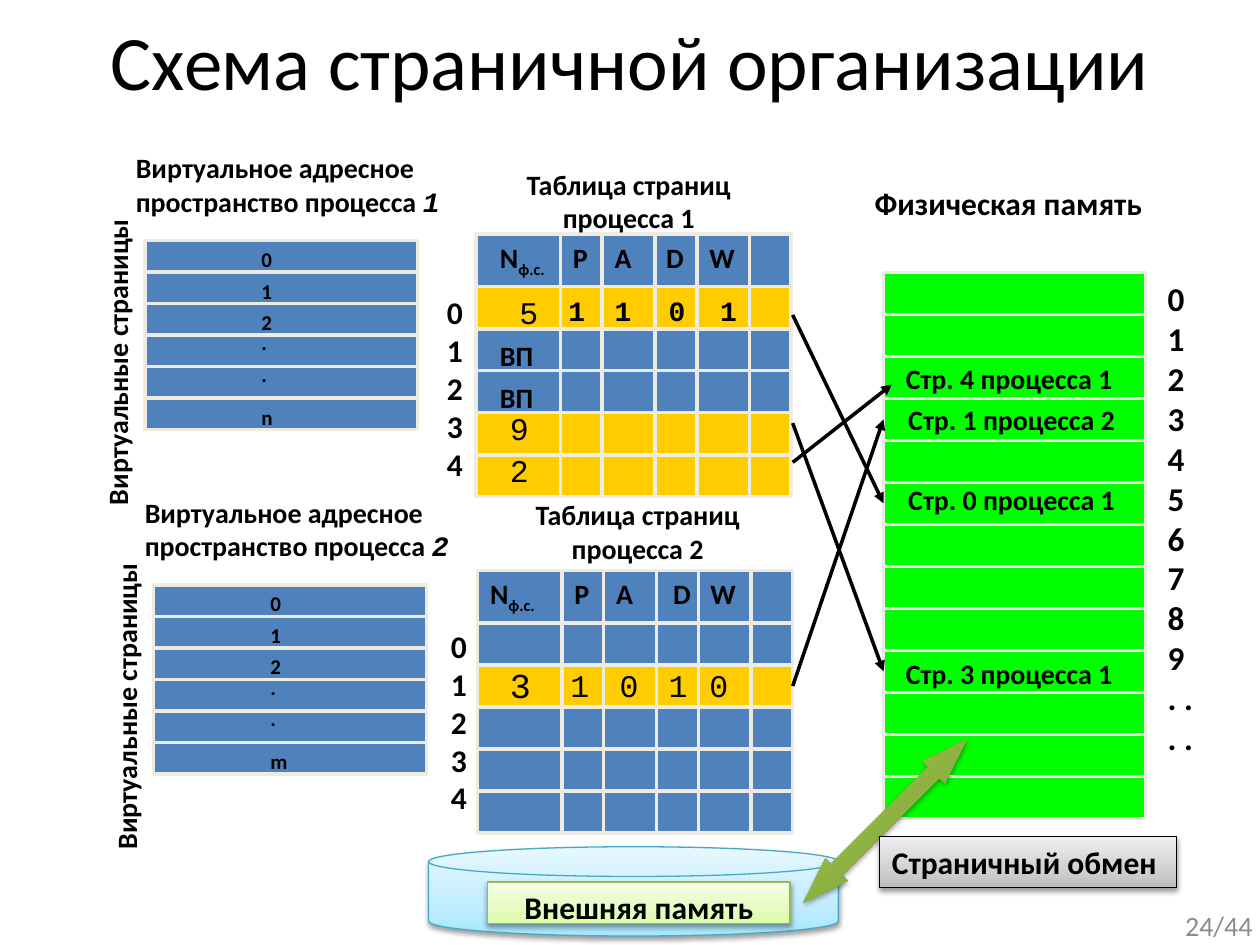
from copy import deepcopy

from lxml import etree
from pptx import Presentation
from pptx.dml.color import RGBColor
from pptx.enum import shapes, text
from pptx.oxml import ns
from pptx.util import Cm, Pt

BLACK = RGBColor(0x00, 0x00, 0x00)
GRAY = RGBColor(0x8C, 0x8C, 0x8C)
BLUE = RGBColor(0x4F, 0x81, 0xBD)
YELLOW = RGBColor(0xFF, 0xCC, 0x00)
GREEN = RGBColor(0x00, 0xFF, 0x00)
CREAM = RGBColor(0xEE, 0xEC, 0xE1)
CYAN_EDGE = RGBColor(0x46, 0xAA, 0xC5)
LIME_EDGE = RGBColor(0x98, 0xB9, 0x55)
CYAN_STOPS = [(0, RGBColor(0xA7, 0xE6, 0xFF)), (0.35, RGBColor(0xC1, 0xED, 0xFF)),
              (1, RGBColor(0xE7, 0xF8, 0xFF))]
LIME_STOPS = [(0, RGBColor(0xDA, 0xFD, 0xA7)), (0.35, RGBColor(0xE4, 0xFC, 0xC2)),
              (1, RGBColor(0xF5, 0xFF, 0xE7))]
GRAY_STOPS = [(0, RGBColor(0xBD, 0xBD, 0xBD)), (0.35, RGBColor(0xD1, 0xD1, 0xD1)),
              (1, RGBColor(0xEE, 0xEE, 0xEE))]
OLIVE_STOPS = [(0, RGBColor(0x77, 0x97, 0x37)), (0.8, RGBColor(0x9B, 0xC3, 0x48)),
               (1, RGBColor(0x9D, 0xC7, 0x46))]

SANS, MONO = "Calibri", "Courier New"
SHAPE = shapes.MSO_SHAPE
CENTER, RIGHT = text.PP_ALIGN.CENTER, text.PP_ALIGN.RIGHT
ROW = 2.54 / 3
PAGE_ROW = 0.635
TABLE_WIDTH, HEADER = 6.35, 1.06
COLUMN_OFFSETS = (1.7, 2.54, 3.6, 4.45, 5.51)


def write(frame, *parts, align=None, anchor=text.MSO_ANCHOR.TOP, wrap=True, **style):
    """Fill a frame with runs; a part is a string or (string, style overrides)."""
    frame.word_wrap = wrap
    frame.vertical_anchor = anchor
    paragraph = frame.paragraphs[0]
    paragraph.alignment = align or text.PP_ALIGN.LEFT
    for part in parts:
        words, changes = (part, {}) if isinstance(part, str) else part
        look = {"size": 16, "font": SANS, "color": BLACK, "bold": True, **style, **changes}
        run = paragraph.add_run()
        run.text = words
        run.font.size, run.font.name = Pt(look["size"]), look["font"]
        run.font.bold, run.font.italic = look["bold"], look.get("italic", False)
        run.font.color.rgb = look["color"]
        if "baseline" in look:
            run.font._element.set("baseline", str(look["baseline"]))


class Board:
    """The current slide and the way its elements look."""

    def __init__(self, slide):
        self.items = slide.shapes

    def label(self, x, y, w, *parts, h=0.94, rotation=0, **style):
        box = self.items.add_textbox(Cm(x), Cm(y), Cm(w), Cm(h))
        box.rotation = rotation
        write(box.text_frame, *parts, **style)

    def cell(self, x, y, w, h, color):
        rect = self.items.add_shape(SHAPE.RECTANGLE, Cm(x), Cm(y), Cm(w), Cm(h))
        rect.shadow.inherit = False
        rect.fill.solid()
        rect.fill.fore_color.rgb = color
        rect.line.color.rgb, rect.line.width = CREAM, Pt(2)
        return rect

    def glossy(self, kind, x, y, w, h, stops, edge=None):
        """A shape with a three-stop upward gradient and a soft shadow."""
        shape = self.items.add_shape(kind, Cm(x), Cm(y), Cm(w), Cm(h))
        shape.fill.gradient()
        shape.fill.gradient_angle = 90
        properties = shape._element.spPr
        gradient = properties.find(".//" + ns.qn("a:gsLst"))
        gradient.append(deepcopy(gradient[-1]))
        for stop, (position, color) in zip(shape.fill.gradient_stops, stops):
            stop.position, stop.color.rgb = position, color
        if edge is None:
            shape.line.fill.background()
        else:
            shape.line.color.rgb, shape.line.width = edge, Pt(0.75)
        shape.shadow.inherit = False
        shadow = etree.SubElement(properties.find(ns.qn("a:effectLst")), ns.qn("a:outerShdw"),
                                  blurRad=str(Pt(3.1)), dist=str(Pt(1.6)), dir="5400000",
                                  rotWithShape="0")
        tint = etree.SubElement(shadow, ns.qn("a:srgbClr"), val="000000")
        etree.SubElement(tint, ns.qn("a:alpha"), val="38000")
        return shape

    def line(self, x1, y1, x2, y2, color=CREAM, start=None, end=None, arrow=False):
        """A straight line; start and end are rectangles to join by a side."""
        link = self.items.add_connector(shapes.MSO_CONNECTOR.STRAIGHT,
                                        Cm(x1), Cm(y1), Cm(x2), Cm(y2))
        link.line.color.rgb, link.line.width = color, Pt(2)
        if arrow:
            etree.SubElement(link.line._get_or_add_ln(), ns.qn("a:tailEnd"), type="triangle")
        etree.SubElement(link._element.spPr, ns.qn("a:effectLst"))
        if start is not None:
            link.begin_connect(start, 3)
        if end is not None:
            link.end_connect(end, 1)

    def page_table(self, x, y, yellow_rows, letter_xs):
        """Draw the grid with its header letters and return the row rectangles."""
        self.cell(x, y, TABLE_WIDTH, HEADER, BLUE)
        rows = [self.cell(x, y + HEADER + i * ROW, TABLE_WIDTH, ROW,
                          YELLOW if i in yellow_rows else BLUE) for i in range(5)]
        for offset in COLUMN_OFFSETS:
            self.line(x + offset, y, x + offset, y + HEADER + 5 * ROW)
        frame_x, *flag_xs = letter_xs
        self.label(frame_x, y, 1.65, "N", ("ф.с.", {"baseline": -25000}), wrap=False)
        for flag, flag_x in zip("PADW", flag_xs):
            self.label(flag_x, y, 1, flag)
        return rows

    def virtual_space(self, x, y, process, last_page):
        for i in range(6):
            self.cell(x, y + i * PAGE_ROW, 5.5, PAGE_ROW, BLUE)
        for i, page in enumerate(["0", "1", "2", ".", ".", last_page]):
            lift = 0.23 if page == "." else 0
            self.label(x + 2.1, y + i * PAGE_ROW - lift, 0.84, page, h=0.76, size=12)
        self.label(x - 0.43, y - 1.93, 6.99, "Виртуальное адресное пространство процесса ",
                   (process, {"font": MONO, "italic": True}), h=1.63)
        self.label(x - 3.96, y + 1.98, 6.81, "Виртуальные страницы", rotation=270, align=CENTER)


def main():
    deck = Presentation()
    deck.slide_width, deck.slide_height = Cm(25.4), Cm(19.05)
    board = Board(deck.slides.add_slide(deck.slide_layouts[6]))
    board.label(0.71, 0.15, 24, "Схема страничной организации", h=3.18,
                size=44, bold=False, align=CENTER)

    board.glossy(SHAPE.FLOWCHART_MAGNETIC_DISK, 8.64, 17.07, 8.26, 1.8, CYAN_STOPS, CYAN_EDGE)
    storage = board.glossy(SHAPE.RECTANGLE, 9.83, 17.78, 6.1, 0.84, LIME_STOPS, LIME_EDGE)
    write(storage.text_frame, "Внешняя память", size=18, align=CENTER)

    board.label(17.37, 3.58, 5.92, "Физическая память", h=1.78, size=18, align=CENTER)
    frames = [board.cell(17.81, 5.49 + i * ROW, 5.28, ROW, GREEN) for i in range(13)]
    board.label(23.29, 5.49, 1.07, "0123456789 . . . .", h=10, size=19)
    for content, x, y in [("Стр. 4 процесса 1", 18.01, 7.16), ("Стр. 1 процесса 2", 18.06, 8),
                          ("Стр. 0 процесса 1", 18.06, 9.6), ("Стр. 3 процесса 1", 18.01, 13.11)]:
        board.label(x, y, 4.93, content, wrap=False)

    exchange = board.glossy(SHAPE.LEFT_RIGHT_ARROW, 15.52, 16.23, 4.65, 0.64, OLIVE_STOPS)
    exchange.rotation = 315
    exchange.adjustments[0], exchange.adjustments[1] = 0.5, 1.47
    swapping = board.glossy(SHAPE.RECTANGLE, 17.73, 16.87, 5.99, 1.02, GRAY_STOPS, BLACK)
    write(swapping.text_frame, "Страничный обмен", size=18)

    board.page_table(9.6, 4.72, {0, 3, 4}, (9.83, 11.3, 12.14, 13.18, 14.05))
    second_rows = board.page_table(9.63, 11.5, {1}, (9.63, 11.33, 12.17, 13.32, 14.07))
    for process, x, y, w in [("1", 9.4, 3.25, 6.55), ("2", 10.06, 9.91, 5.59)]:
        board.label(x, y, w, "Таблица страниц процесса " + process, h=1.63, align=CENTER)
    for x, y, w in [(8.76, 5.79, 0.84), (8.84, 12.52, 0.99)]:
        board.label(x, y, w, "01234", h=4.06, size=18)
    for y in (6.71, 7.54):
        board.label(9.83, y, 1.24, "ВП", wrap=False)
    for frame, x, y, size in [("5", 10.22, 5.79, 18), ("9", 10.03, 8.13, 18),
                              ("2", 10.03, 8.97, 18), ("3", 10.03, 13.26, 20)]:
        board.label(x, y, 0.9, frame, h=1.02, font=MONO, size=size, bold=False)
    for flag, x in zip("1101", (11.21, 12.14, 13.23, 14.27)):
        board.label(x, 5.79, 0.86, flag, font=MONO)
    for flag, x in zip("1010", (11.25, 12.24, 13.23, 14.05)):
        board.label(x, 13.31, 0.89, flag, h=1.02, font=MONO, size=18, bold=False)

    board.virtual_space(2.92, 4.85, "1", "n")
    board.virtual_space(3.1, 11.79, "2", "m")

    for start_y, end_x, end_y, start, end in [
            (6.35, 17.78, 10.11, None, frames[5]), (8.53, 17.78, 13.49, None, frames[9]),
            (9.32, 17.98, 7.75, None, None), (13.89, 17.78, 8.33, second_rows[1], frames[3])]:
        board.line(15.98, start_y, end_x, end_y, BLACK, start, end, arrow=True)

    board.label(19.58, 18.14, 5.92, "24/44", h=1.02, color=GRAY, bold=False, align=RIGHT,
                anchor=text.MSO_ANCHOR.MIDDLE)
    deck.save("out.pptx")


if __name__ == "__main__":
    main()
